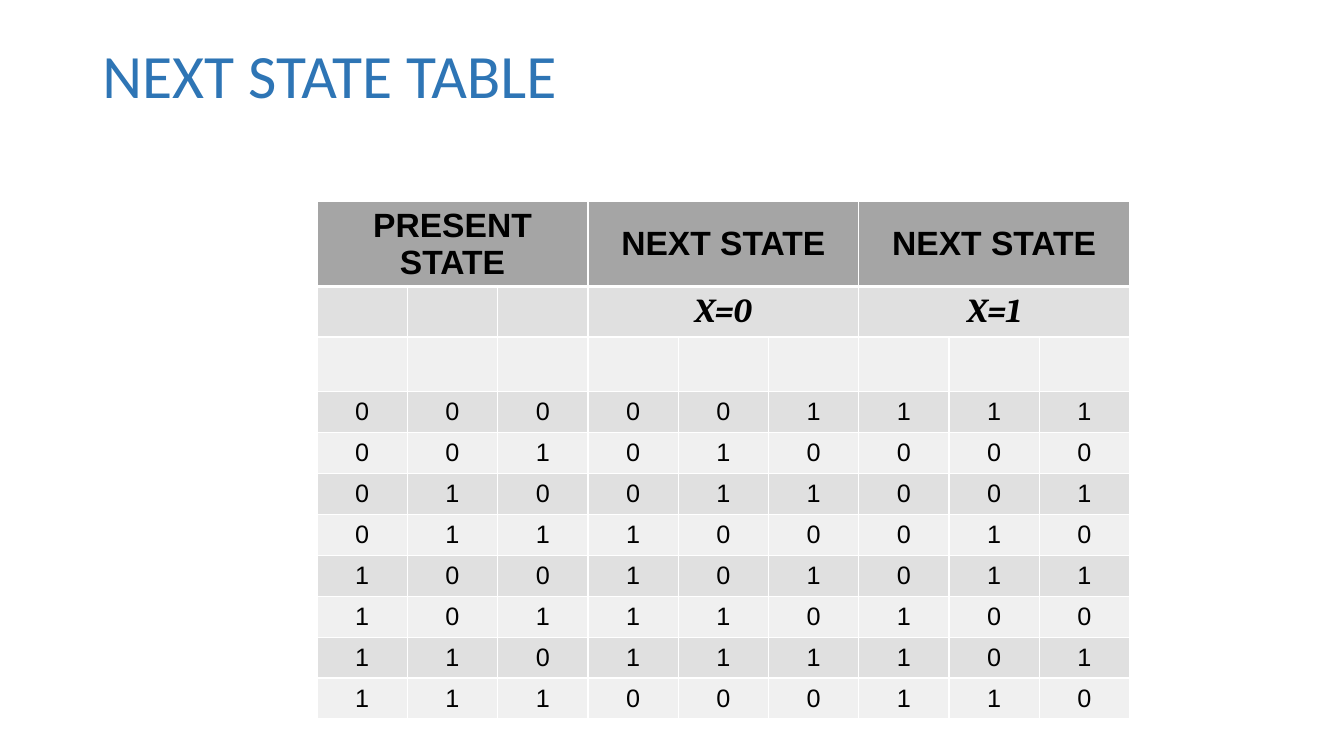
from dataclasses import dataclass

from lxml import etree
from pptx import Presentation
from pptx.dml.color import RGBColor
from pptx.enum.text import MSO_ANCHOR, PP_ALIGN
from pptx.oxml.ns import qn
from pptx.table import Table, _Cell
from pptx.text.text import Font
from pptx.util import Emu, Pt

TOP = MSO_ANCHOR.TOP
MIDDLE = MSO_ANCHOR.MIDDLE
CENTER = PP_ALIGN.CENTER
SCALE = 9525
BLACK = "000000"
WHITE = "FFFFFF"
BLUE = "2E75B5"
HEAD = "A5A5A5"
BANDS = ("F0F0F0", "E0E0E0")
COLS = 9
BITS = 3
COUNT = 2 ** BITS
WIDTH = 86
ROWS = [48, 48, 52] + [39] * COUNT


@dataclass(frozen=True)
class Style:
    face: str
    size: int
    color: str = BLACK
    bold: bool = False
    slant: bool = False


@dataclass(frozen=True)
class Label:
    row: int
    col: int
    text: str
    style: Style


TITLE = Style("Calibri", 44, BLUE)
GROUP = Style("Arial", 24, bold=True)
INPUT = Style("Cambria", 24, bold=True, slant=True)
DIGIT = Style("Arial", 18)

SPANS = [
    Label(0, 0, "PRESENT STATE", GROUP),
    Label(0, 3, "NEXT STATE", GROUP),
    Label(0, 6, "NEXT STATE", GROUP),
    Label(1, 3, "X=0", INPUT),
    Label(1, 6, "X=1", INPUT),
]


def px(value: int) -> Emu:
    return Emu(value * SCALE)


def rgb(code: str) -> RGBColor:
    return RGBColor.from_string(code)


def set_font(font: Font, style: Style) -> None:
    font.name = style.face
    font.size = Pt(style.size)
    font.bold = style.bold
    font.italic = style.slant
    font.color.rgb = rgb(style.color)


def paint(cell: _Cell, row: int) -> None:
    props = cell._tc.get_or_add_tcPr()
    thick = {"lnT": row == 1, "lnB": row == 0}
    for side in ("lnL", "lnR", "lnT", "lnB"):
        points = 3 if thick.get(side) else 1
        line = etree.SubElement(props, qn(f"a:{side}"), w=str(Pt(points)))
        fill = etree.SubElement(line, qn("a:solidFill"))
        etree.SubElement(fill, qn("a:srgbClr"), val=WHITE)
    cell.fill.solid()
    cell.fill.fore_color.rgb = rgb(HEAD if row == 0 else BANDS[row % 2])
    cell.vertical_anchor = MIDDLE


def write(table: Table, label: Label) -> None:
    cell = table.cell(label.row, label.col)
    cell.text_frame.text = label.text
    para = cell.text_frame.paragraphs[0]
    para.alignment = CENTER
    set_font(para.runs[0].font, label.style)


def fill_states(table: Table) -> None:
    for state in range(COUNT):
        values = (state, (state + 1) % COUNT, (state - 1) % COUNT)
        digits = "".join(f"{value:0{BITS}b}" for value in values)
        for col, digit in enumerate(digits):
            write(table, Label(state + 3, col, digit, DIGIT))


def main() -> None:
    deck = Presentation()
    deck.slide_width, deck.slide_height = px(1280), px(720)
    slide = deck.slides.add_slide(deck.slide_layouts[5])

    title = slide.shapes.title
    title.left, title.top = px(88), px(38)
    title.width, title.height = px(1104), px(139)
    frame = title.text_frame
    frame.text = "NEXT STATE TABLE"
    frame.vertical_anchor = TOP
    para = frame.paragraphs[0]
    para.alignment = PP_ALIGN.LEFT
    para.line_spacing = 0.9
    set_font(para.runs[0].font, TITLE)

    table = slide.shapes.add_table(
        len(ROWS), COLS, px(302), px(192), px(COLS * WIDTH), px(sum(ROWS))
    ).table
    for col in table.columns:
        col.width = px(WIDTH)
    for row, height in enumerate(ROWS):
        table.rows[row].height = px(height)
        for col in range(COLS):
            paint(table.cell(row, col), row)
    for label in SPANS:
        end = table.cell(label.row, label.col + BITS - 1)
        table.cell(label.row, label.col).merge(end)
        write(table, label)
    fill_states(table)

    deck.save("out.pptx")


if __name__ == "__main__":
    main()
